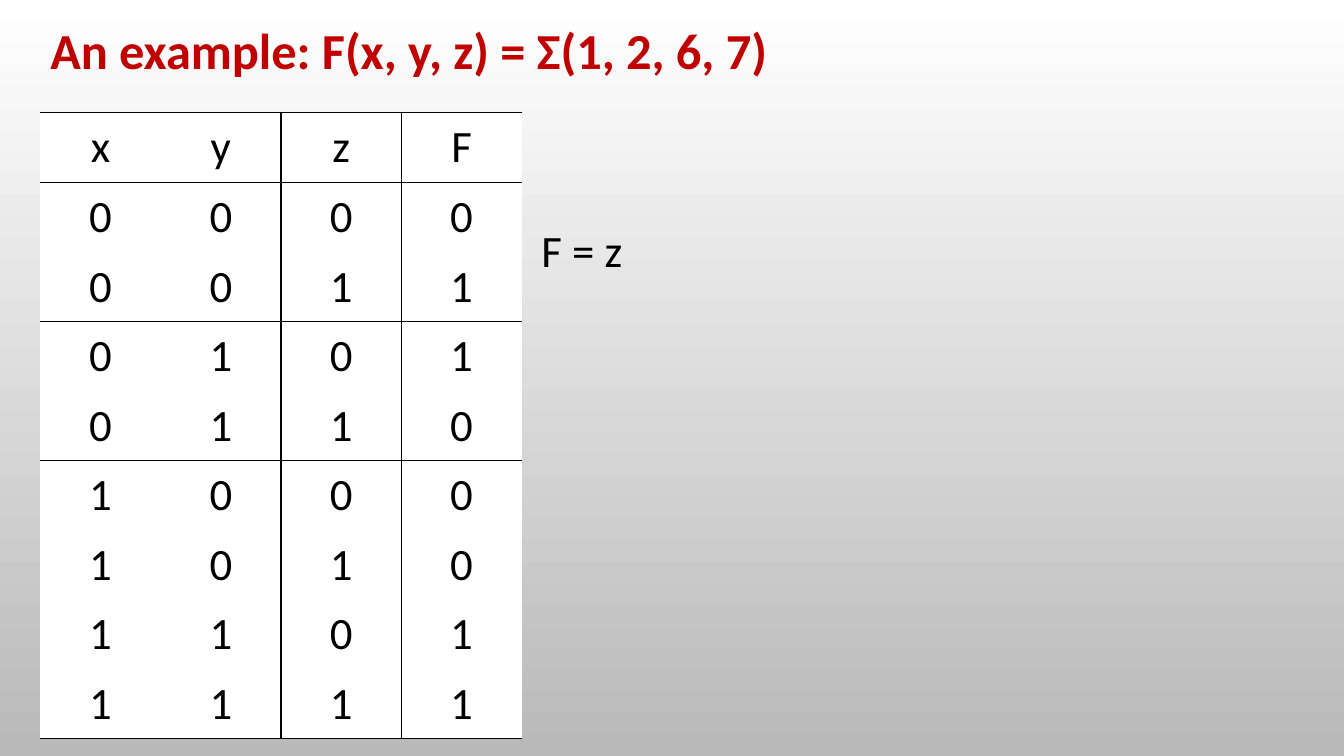
from itertools import product

from lxml import etree
from pptx import Presentation
from pptx import util as u
from pptx.dml.color import RGBColor
from pptx.enum import text
from pptx.oxml import ns

COLORS = {"top": "FFFFFF", "bottom": "B9B9B9", "title": "C00000",
          "ink": "000000", "cell": "FFFFFF"}
FONT = "Calibri"
LEFT = 0.4
COL, ROW = 5.97 / 5, 0.69
MINTERMS = (1, 2, 6, 7)
RULED_ROWS = (0, 2, 4, 8)  # rows with a line below
RULED_COLS = (1, 2)        # columns with a line to the right
F_COL = 3


def color(name):
    return RGBColor.from_string(COLORS[name])


def write(tf, words, name="ink", align=None, **formats):
    p = tf.paragraphs[0]
    p.alignment = align
    r = p.add_run()
    r.text = words
    for key, value in {"name": FONT, **formats}.items():
        setattr(r.font, key, value)
    r.font.color.rgb = color(name)


def set_background(s):
    fill = s.background.fill
    fill.gradient()
    fill.gradient_angle = 270
    for stop, name in zip(fill.gradient_stops, ("top", "bottom")):
        stop.color.rgb = color(name)


def add_title(s, words):
    tf = s.shapes.add_textbox(*map(u.Inches, (LEFT, 0.14, 8.12, 0.71))).text_frame
    tf.word_wrap = False
    tf.auto_size = text.MSO_AUTO_SIZE.SHAPE_TO_FIT_TEXT
    write(tf, words, "title", size=u.Pt(36), bold=True)


def set_borders(cell, row, col):
    """Draw the ruled sides of a cell and clear the others."""
    inside = col <= F_COL
    sides = {"L": inside and col - 1 in RULED_COLS,
             "R": col in RULED_COLS,
             "T": inside and (row == 0 or row - 1 in RULED_ROWS),
             "B": inside and row in RULED_ROWS}
    tcPr = cell._tc.get_or_add_tcPr()
    for side, ruled in sides.items():
        ln = etree.SubElement(tcPr, ns.qn(f"a:ln{side}"), w=str(u.Pt(1)))
        if ruled:
            fill = etree.SubElement(ln, ns.qn("a:solidFill"))
            etree.SubElement(fill, ns.qn("a:srgbClr"), val=COLORS["ink"])
        else:
            etree.SubElement(ln, ns.qn("a:noFill"))


def truth_rows():
    """Header, then each input with its F value."""
    yield "xyzF"
    for n, bits in enumerate(product((0, 1), repeat=3)):
        yield [str(v) for v in (*bits, int(n in MINTERMS))]


def add_truth_table(s, notes):
    """Add the table; notes maps a first row to text spanning two rows."""
    rows = list(truth_rows())
    n_cols = F_COL + 2
    table = s.shapes.add_table(
        len(rows), n_cols, u.Inches(LEFT), u.Inches(1.12),
        u.Inches(COL * n_cols), u.Inches(ROW * len(rows))).table
    table.first_row = table.horz_banding = False
    for row in table.rows:
        row.height = u.Inches(ROW)
    for i, values in enumerate(rows):
        for j, words in enumerate([*values, notes.get(i, "")]):
            cell = table.cell(i, j)
            set_borders(cell, i, j)
            if j <= F_COL:
                cell.fill.solid()
                cell.fill.fore_color.rgb = color("cell")
            else:
                cell.fill.background()
            cell.vertical_anchor = text.MSO_ANCHOR.MIDDLE
            if words:
                write(cell.text_frame, words, align=text.PP_ALIGN.CENTER, size=u.Pt(32))
    for i in notes:
        table.cell(i, F_COL + 1).merge(table.cell(i + 1, F_COL + 1))


def main():
    prs = Presentation()
    prs.slide_width, prs.slide_height = u.Inches(13.33), u.Inches(7.5)
    s = prs.slides.add_slide(prs.slide_layouts[6])
    set_background(s)
    add_title(s, f"An example: F(x, y, z) = Σ({', '.join(map(str, MINTERMS))})")
    add_truth_table(s, {1: "F = z"})
    prs.save("out.pptx")


if __name__ == "__main__":
    main()
